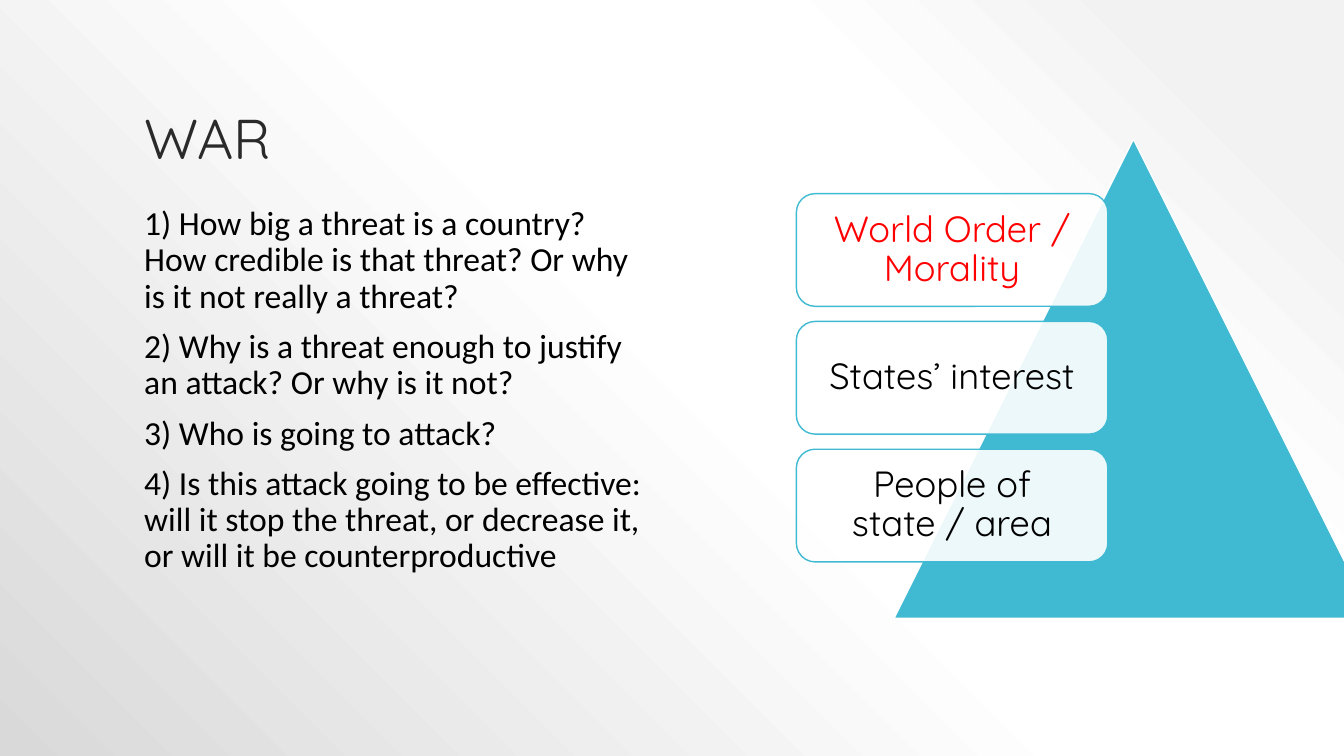
"""Builds the slide on war: four questions beside a pyramid of interests."""
from lxml import etree
from pptx import Presentation
from pptx import util as u
from pptx.dml.color import RGBColor
from pptx.enum import shapes, text
from pptx.oxml.ns import qn

TEAL, WHITE, BLACK, RED = "40BAD2", "FFFFFF", "000000", "FF0000"
BACKGROUND_STOPS = [(10, "F2F2F2"), (28, WHITE), (48, WHITE), (100, "D9D9D9")]
QUESTIONS = [
    "1) How big a threat is a country? How credible is that threat? Or why is it not really a threat?",
    "2) Why is a threat enough to justify an attack? Or why is it not?",
    "3) Who is going to attack?",
    "4) Is this attack going to be effective: will it stop the threat, or decrease it, "
    "or will it be counterproductive",
]
LEVELS = [("World Order / Morality", RED), ("States’ interest", BLACK), ("People of state / area", BLACK)]
LEVEL_TOP, LEVEL_PITCH = 4.88, 3.22


def color(value):
    return RGBColor.from_string(value)


def set_background(slide):
    slide.background.fill.gradient()
    gradient = next(slide.element.iter(qn("a:gradFill")))
    for child in list(gradient):
        gradient.remove(child)
    stops = etree.SubElement(gradient, qn("a:gsLst"))
    for position, value in BACKGROUND_STOPS:
        stop = etree.SubElement(stops, qn("a:gs"), pos=str(position * 1000))
        etree.SubElement(stop, qn("a:srgbClr"), val=value)
    circle = etree.SubElement(gradient, qn("a:path"), path="circle")
    etree.SubElement(circle, qn("a:fillToRect"), l="100000", b="100000")


def place(shape, left, top, width, height):
    shape.left, shape.top = u.Cm(left), u.Cm(top)
    shape.width, shape.height = u.Cm(width), u.Cm(height)


def format_paragraph(paragraph, font, size, value, alignment):
    paragraph.alignment = alignment
    paragraph.line_spacing = 0.9
    paragraph.space_before = u.Pt(0)
    paragraph.font.name = font
    paragraph.font.size = u.Pt(size)
    paragraph.font.color.rgb = color(value)


def fill_title(title):
    place(title, 3.38, 0.76, 27.1, 3.68)
    frame = title.text_frame
    frame.text = "WAR"
    frame.auto_size = text.MSO_AUTO_SIZE.NONE
    frame.vertical_anchor = text.MSO_ANCHOR.BOTTOM
    format_paragraph(frame.paragraphs[0], "Quicksand", 40, "2A2A2A", text.PP_ALIGN.LEFT)


def fill_questions(body):
    place(body, 3.38, 5.08, 13.16, 12.07)
    frame = body.text_frame
    frame.text = "\n".join(QUESTIONS)
    frame.auto_size = text.MSO_AUTO_SIZE.NONE
    for index, paragraph in enumerate(frame.paragraphs):
        properties = paragraph._p.get_or_add_pPr()
        properties.set("marL", "0")
        properties.set("indent", "0")
        etree.SubElement(properties, qn("a:buNone"))
        format_paragraph(paragraph, "Calibri", 24, BLACK, text.PP_ALIGN.LEFT)
        if index:
            paragraph.space_before = u.Pt(10)


def add_shape(slide, kind, box, fill, line):
    shape = slide.shapes.add_shape(kind, *map(u.Cm, box))
    shape.shadow.inherit = False
    shape.fill.solid()
    shape.fill.fore_color.rgb = color(fill)
    shape.line.color.rgb = color(line)
    shape.line.width = u.Pt(1)
    return shape


def add_level(slide, top, label, value):
    box = (20.07, top, 7.85, 2.84)
    level = add_shape(slide, shapes.MSO_SHAPE.ROUNDED_RECTANGLE, box, WHITE, TEAL)
    fill_color = level.fill._xPr.find(qn("a:solidFill"))[0]
    etree.SubElement(fill_color, qn("a:alpha"), val="90000")
    frame = level.text_frame
    frame.text = label
    frame.word_wrap = True
    frame.vertical_anchor = text.MSO_ANCHOR.MIDDLE
    frame.margin_left = frame.margin_right = u.Cm(0.28)
    frame.margin_top = frame.margin_bottom = u.Cm(0.28)
    format_paragraph(frame.paragraphs[0], "Quicksand", 26, value, text.PP_ALIGN.CENTER)


def main():
    presentation = Presentation()
    presentation.slide_width, presentation.slide_height = u.Cm(33.87), u.Cm(19.05)
    slide = presentation.slides.add_slide(presentation.slide_layouts[1])
    set_background(slide)
    fill_title(slide.shapes.title)
    fill_questions(slide.placeholders[1])
    pyramid = (22.53, 3.51, 12.07, 12.07)
    add_shape(slide, shapes.MSO_SHAPE.ISOSCELES_TRIANGLE, pyramid, TEAL, WHITE)
    for index, (label, value) in enumerate(LEVELS):
        add_level(slide, LEVEL_TOP + index * LEVEL_PITCH, label, value)
    presentation.save("out.pptx")


if __name__ == "__main__":
    main()
